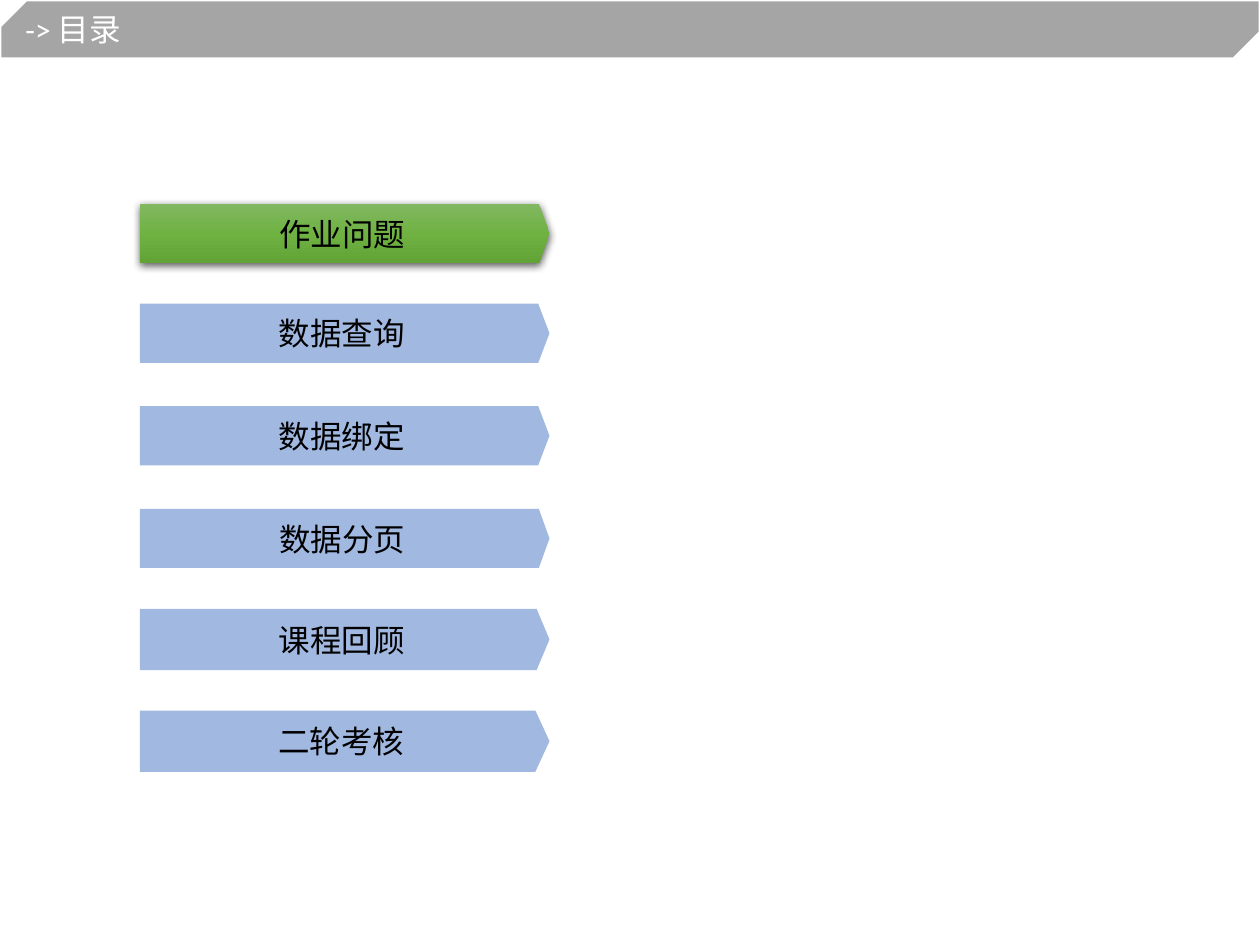
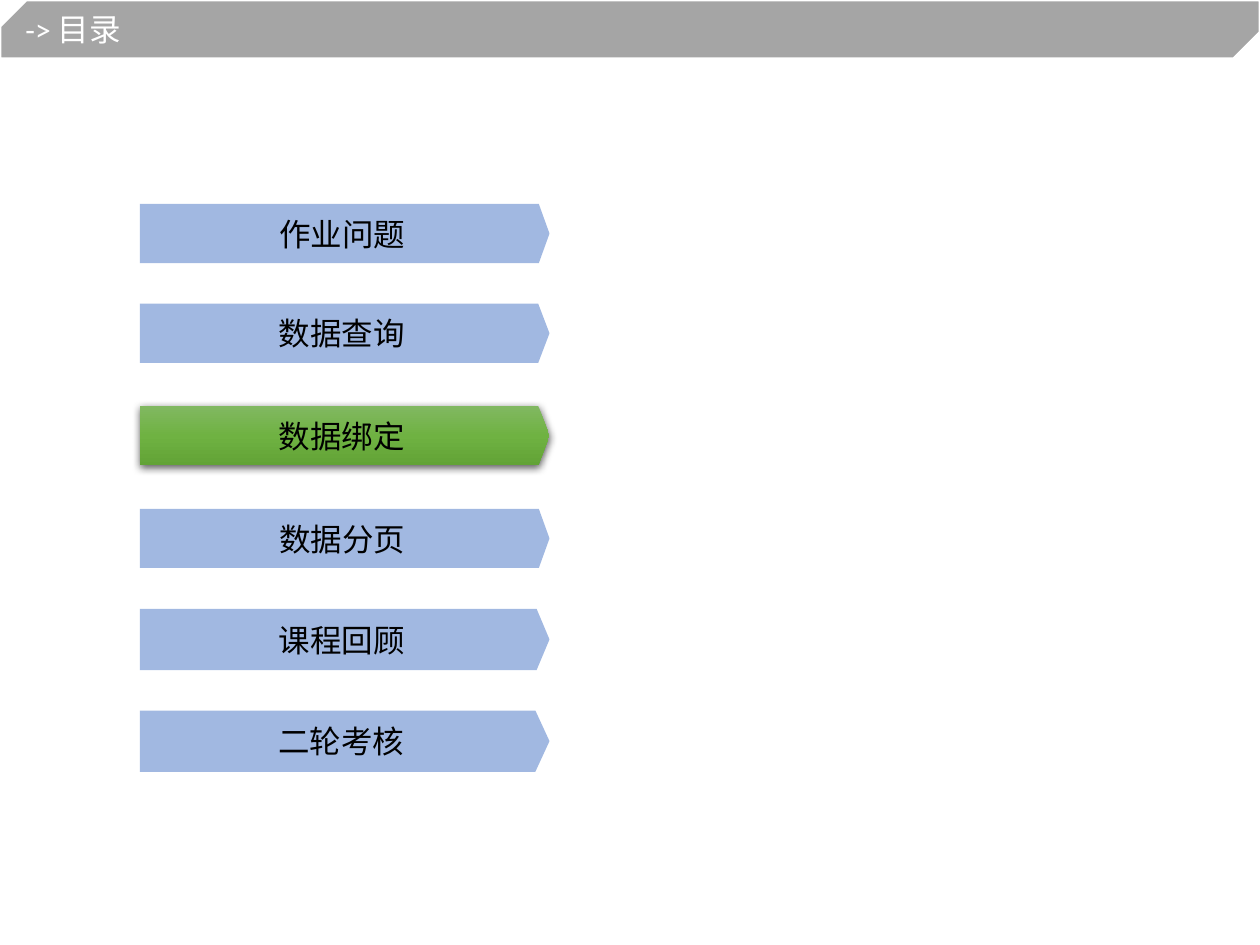
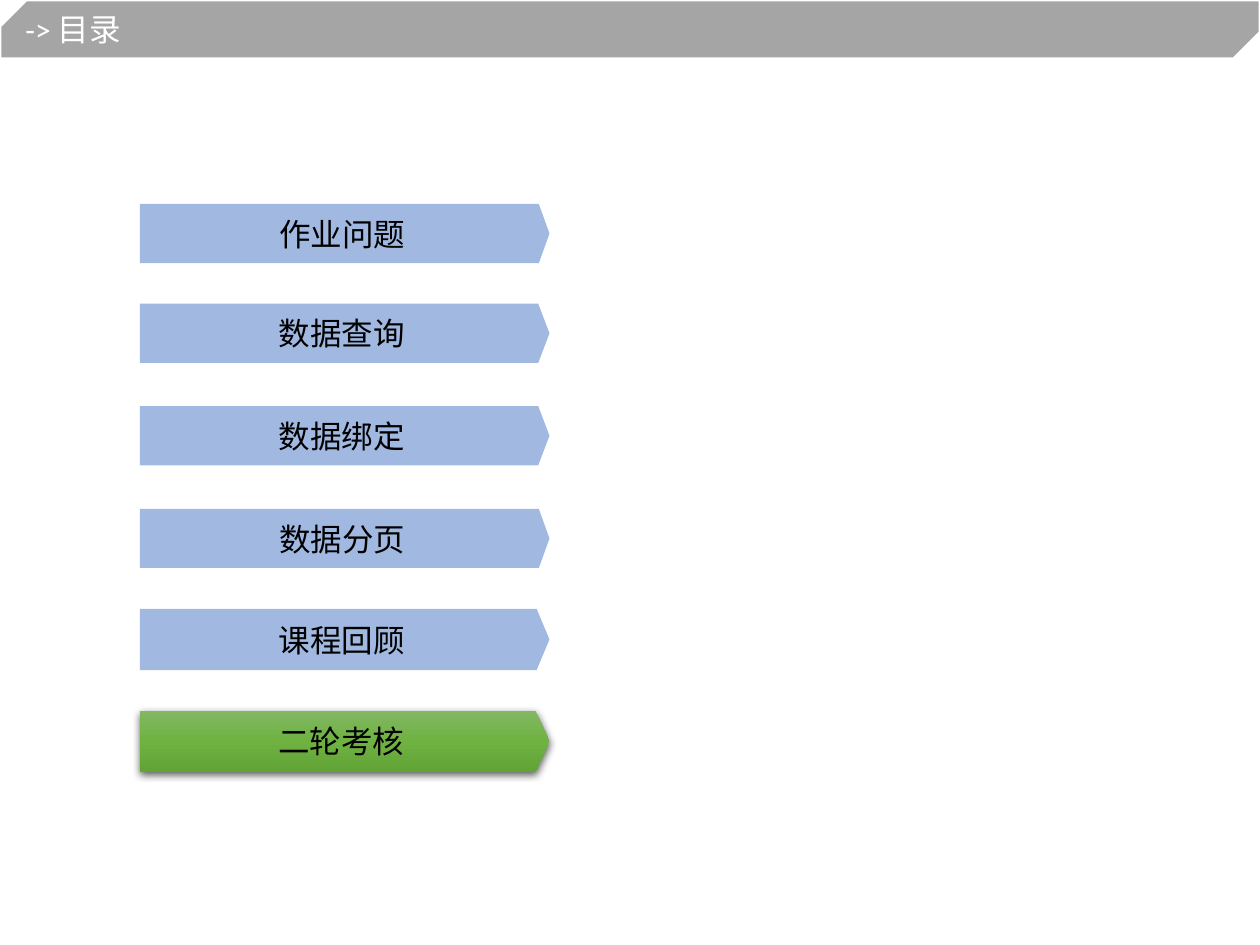
from dataclasses import dataclass

from lxml.etree import SubElement
from pptx import Presentation
from pptx.dml.color import RGBColor
from pptx.enum.shapes import MSO_SHAPE
from pptx.enum.text import MSO_ANCHOR, PP_ALIGN
from pptx.oxml.ns import qn
from pptx.shapes.autoshape import Shape
from pptx.slide import Slide
from pptx.util import Pt

BLACK = RGBColor(0x00, 0x00, 0x00)
WHITE = RGBColor(0xFF, 0xFF, 0xFF)
GREY = RGBColor(0xA5, 0xA5, 0xA5)
BLUE = RGBColor(0x44, 0x72, 0xC4)
GREEN_STOPS = (
    (0, RGBColor(0x81, 0xB8, 0x61)),
    (50, RGBColor(0x6F, 0xB2, 0x42)),
    (100, RGBColor(0x62, 0xA3, 0x36)),
)
FONT_NAME = "Calibri"
FONT_SIZE = Pt(18)
PAGE_WIDTH, PAGE_HEIGHT = Pt(720), Pt(540)
BAND_HEIGHT = Pt(33.5)
TOPIC_LEFT, TOPIC_WIDTH = Pt(80), Pt(234)


@dataclass(frozen=True)
class Topic:
    name: str
    top: float
    height: float
    point: float


TOPICS = (
    Topic("作业问题", 116.6, 33.8, 0.18),
    Topic("数据查询", 173.6, 33.8, 0.19),
    Topic("数据绑定", 232.1, 33.8, 0.19),
    Topic("数据分页", 290.8, 33.8, 0.18),
    Topic("课程回顾", 347.9, 35, 0.21),
    Topic("二轮考核", 406, 35, 0.23),
)
CURRENT_TOPICS = ("作业问题", "数据绑定", "二轮考核")


def write_label(shape: Shape, text: str, color: RGBColor, alignment: PP_ALIGN) -> None:
    frame = shape.text_frame
    frame.word_wrap = True
    frame.vertical_anchor = MSO_ANCHOR.MIDDLE
    para = frame.paragraphs[0]
    para.alignment = alignment
    span = para.add_run()
    span.text = text
    span.font.name = FONT_NAME
    span.font.size = FONT_SIZE
    span.font.color.rgb = color


def add_color(parent, color: RGBColor, opacity: int = 100) -> None:
    """Append an XML colour, with its opacity in percent."""
    element = SubElement(parent, qn("a:srgbClr"), val=str(color))
    if opacity < 100:
        SubElement(element, qn("a:alpha"), val=str(opacity * 1000))


def fill_plain(shape: Shape) -> None:
    """Fill with half-transparent blue."""
    shape.fill.solid()
    shape.fill.fore_color.rgb = BLUE
    color = shape._element.spPr.find(qn("a:solidFill"))[0]
    SubElement(color, qn("a:alpha"), val="50000")


def fill_highlight(shape: Shape) -> None:
    """Fill with a downward green gradient and cast a soft shadow."""
    shape.fill.gradient()
    shape.fill.gradient_angle = 270
    properties = shape._element.spPr
    stops = properties.find(qn("a:gradFill")).find(qn("a:gsLst"))
    for stop in list(stops):
        stops.remove(stop)
    for position, color in GREEN_STOPS:
        add_color(SubElement(stops, qn("a:gs"), pos=str(position * 1000)), color)
    shadow = SubElement(
        properties.find(qn("a:effectLst")), qn("a:outerShdw"),
        blurRad=str(Pt(4.5)), dist=str(Pt(1.5)), dir="5400000",
        algn="ctr", rotWithShape="0",
    )
    add_color(shadow, BLACK, 63)


def add_topic(page: Slide, topic: Topic, is_current: bool) -> None:
    arrow = page.shapes.add_shape(
        MSO_SHAPE.PENTAGON, TOPIC_LEFT, Pt(topic.top), TOPIC_WIDTH, Pt(topic.height)
    )
    arrow.adjustments[0] = topic.point
    arrow.shadow.inherit = False
    arrow.line.fill.background()
    if is_current:
        fill_highlight(arrow)
    else:
        fill_plain(arrow)
    write_label(arrow, topic.name, BLACK, PP_ALIGN.CENTER)


def add_title_band(page: Slide, title: str) -> None:
    band = page.shapes.add_shape(
        MSO_SHAPE.SNIP_2_DIAG_RECTANGLE, 0, 0, PAGE_WIDTH, BAND_HEIGHT
    )
    band.adjustments[0] = 0.45
    band.adjustments[1] = 0
    band.shadow.inherit = False
    band.fill.solid()
    band.fill.fore_color.rgb = GREY
    band.line.color.rgb = WHITE
    band.line.width = Pt(1.5)
    write_label(band, title, WHITE, PP_ALIGN.LEFT)


def main() -> None:
    deck = Presentation()
    deck.slide_width, deck.slide_height = PAGE_WIDTH, PAGE_HEIGHT
    for current in CURRENT_TOPICS:
        page = deck.slides.add_slide(deck.slide_layouts[6])
        add_title_band(page, "-> 目录")
        for topic in TOPICS:
            add_topic(page, topic, topic.name == current)
    deck.save("out.pptx")


if __name__ == "__main__":
    main()
